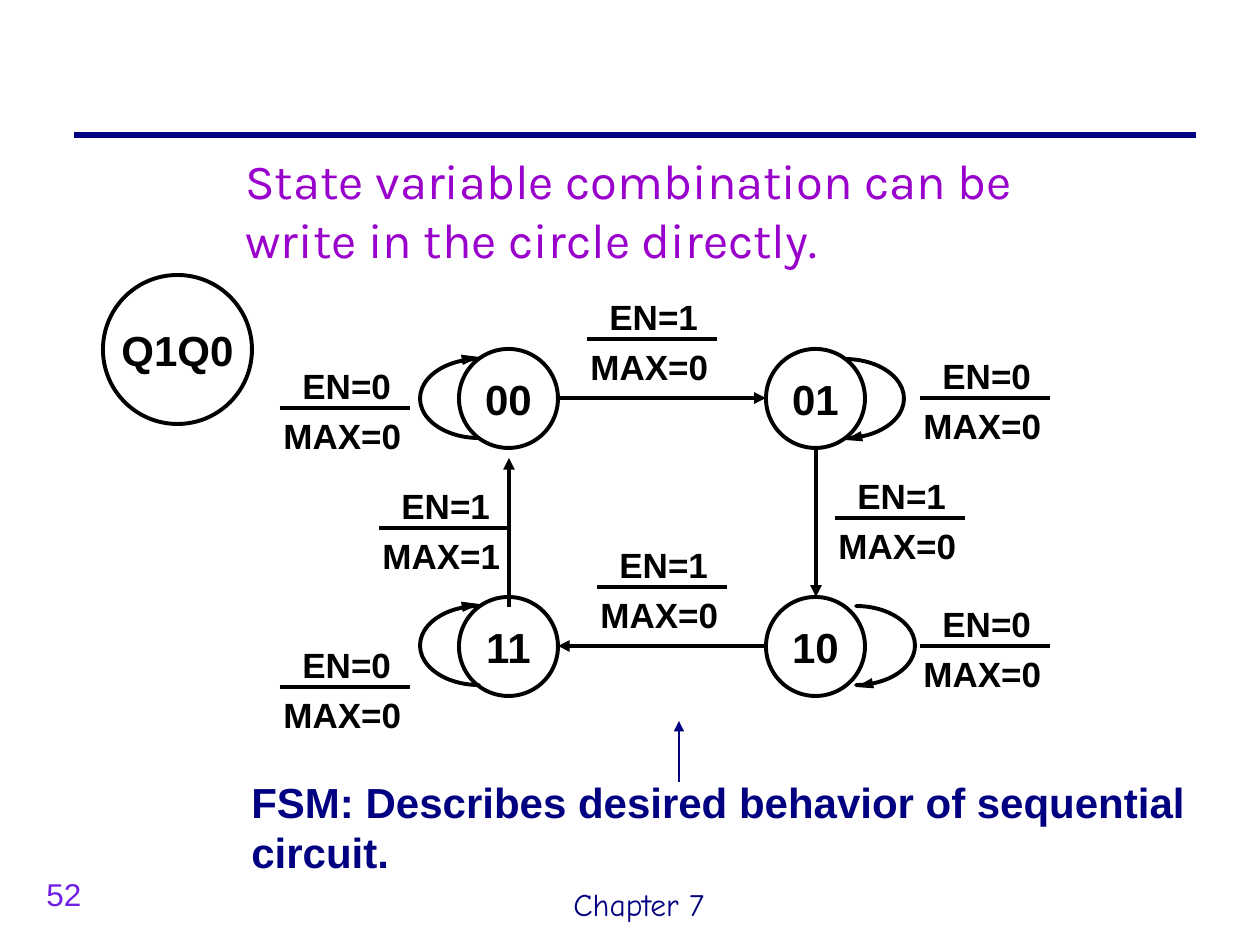
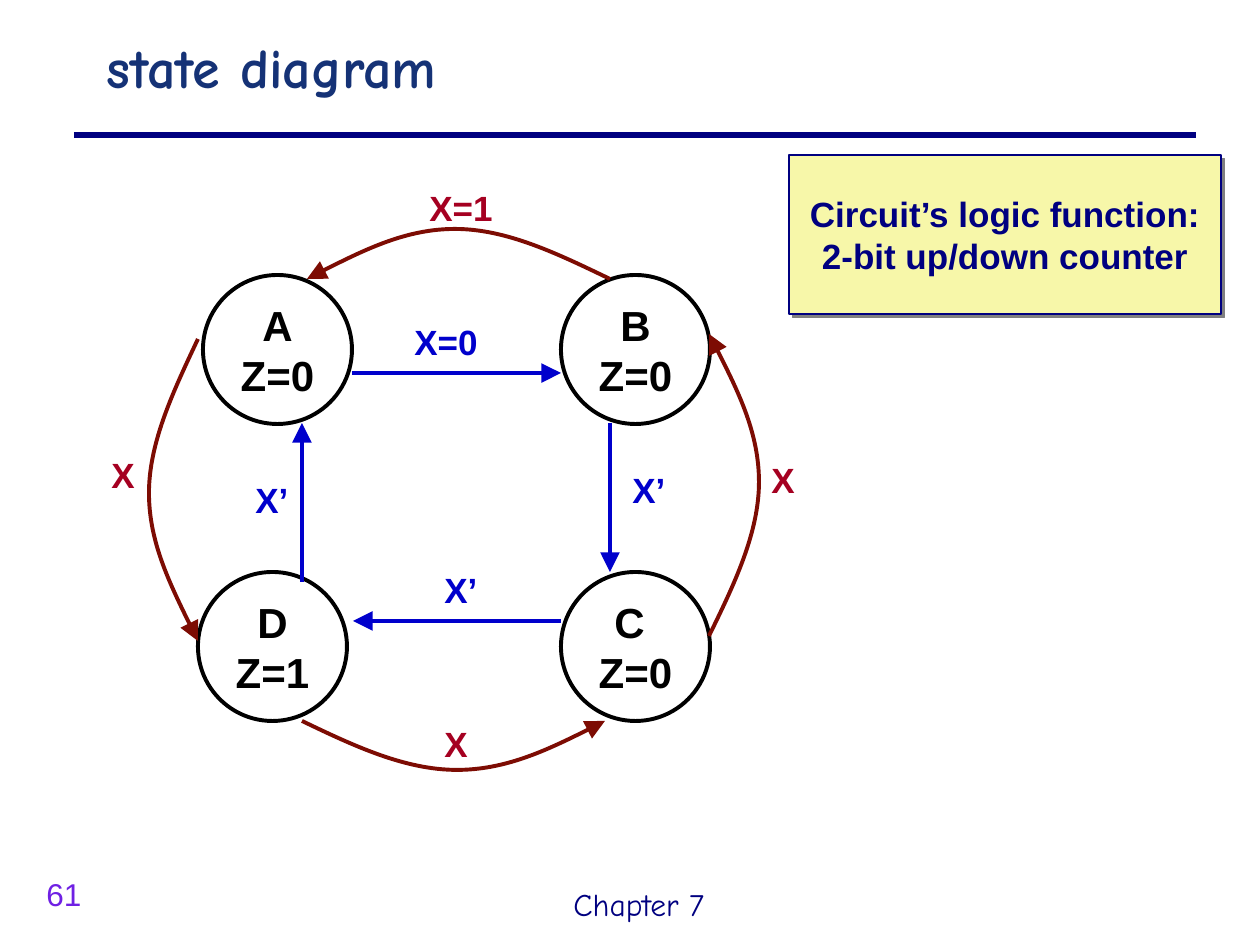
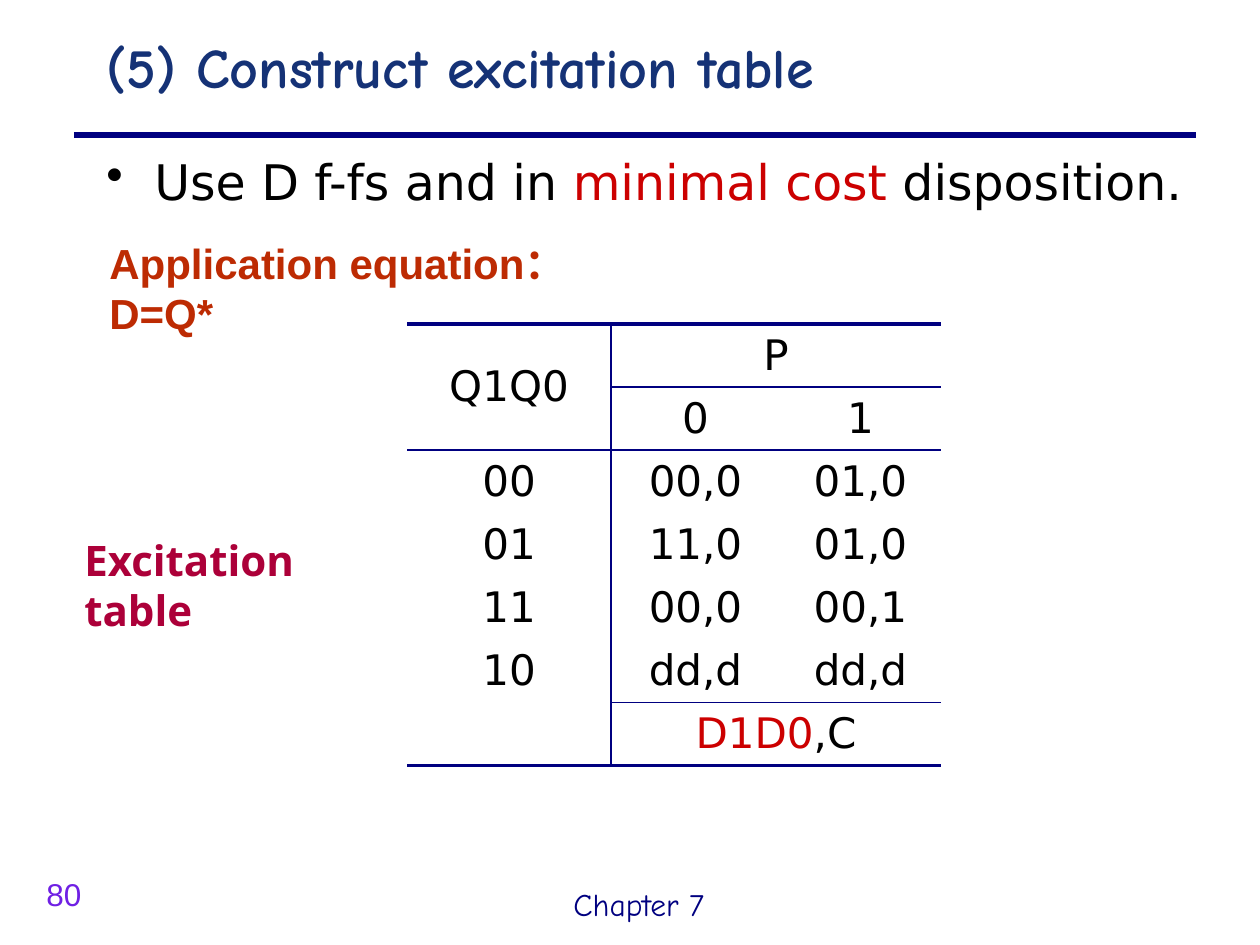
from lxml.etree import SubElement
from pptx import Presentation
from pptx.dml.color import RGBColor
from pptx.enum.shapes import MSO_CONNECTOR, MSO_SHAPE
from pptx.enum.text import MSO_ANCHOR, PP_ALIGN
from pptx.oxml import parse_xml
from pptx.oxml.ns import nsdecls, qn
from pptx.util import Pt

PIXEL = 914400 / 126

NAVY = RGBColor(0x00, 0x00, 0x80)
TITLE_BLUE = RGBColor(0x15, 0x32, 0x76)
NUMBER_VIOLET = RGBColor(0x6F, 0x20, 0xE4)
PURPLE = RGBColor(0x99, 0x00, 0xCC)
BLACK = RGBColor(0x00, 0x00, 0x00)
BLUE = RGBColor(0x00, 0x00, 0xCC)
CRIMSON = RGBColor(0xA5, 0x00, 0x21)
MAROON = RGBColor(0x7D, 0x0C, 0x03)
RED = RGBColor(0xCC, 0x00, 0x00)
RUST = RGBColor(0xBD, 0x2B, 0x03)
RASPBERRY = RGBColor(0xAC, 0x00, 0x39)
PALE_YELLOW = RGBColor(0xF7, 0xF7, 0xA9)

BODY_FONT = "Arial"
HAND_FONT = "Comic Neue"
WIDE_FONT = "DejaVu Sans"


def px(length):
    return round(length * PIXEL)


class Deck:
    """Holds the shared style and the slide being drawn."""

    def __init__(self):
        self.presentation = Presentation()
        self.presentation.slide_width = px(1260)
        self.presentation.slide_height = px(945)
        self.slide = None

    def new_slide(self, number, title=None):
        layout = self.presentation.slide_layouts[6]
        self.slide = self.presentation.slides.add_slide(layout)
        self.line((74, 135), (1196, 135), NAVY, 3)
        self.text("Chapter 7", (561, 879, 179, 50), 18, NAVY, HAND_FONT)
        self.text(str(number), (34, 869, 89, 50), 18, NUMBER_VIOLET)
        if title:
            self.text(title, (94, 26, 1101, 100), 32, TITLE_BLUE, HAND_FONT, bold=True)

    def fill_paragraph(self, paragraph, content, size, color, font=BODY_FONT, bold=False):
        """Fill a paragraph with a string or a list of (text, color) runs."""
        paragraph.font.size = Pt(size)
        paragraph.font.name = font
        paragraph.font.bold = bold
        paragraph.font.color.rgb = color
        if isinstance(content, str):
            paragraph.text = content
            return
        for words, run_color in content:
            run = paragraph.add_run()
            run.text = words
            run.font.color.rgb = run_color

    def text(self, content, box, size, color, font=BODY_FONT, bold=False):
        frame = self.slide.shapes.add_textbox(*map(px, box)).text_frame
        frame.word_wrap = True
        self.fill_paragraph(frame.paragraphs[0], content, size, color, font, bold)
        return frame.paragraphs[0]

    def bullet(self, content, box, size):
        paragraph = self.text(content, box, size, BLACK, WIDE_FONT)
        properties = paragraph._p.get_or_add_pPr()
        properties.set("marL", str(px(48)))
        properties.set("indent", str(px(-48)))
        mark = parse_xml(f'<a:buChar {nsdecls("a")} char="•"/>')
        properties.insert(0, mark)

    def arrowhead(self, shape, length, width):
        line = shape.line._get_or_add_ln()
        SubElement(line, qn("a:tailEnd"), type="triangle", w=width, len=length)

    def line(self, start, end, color, weight, head=None):
        """Draw a line; head gives the arrowhead's length and width."""
        connector = self.slide.shapes.add_connector(
            MSO_CONNECTOR.STRAIGHT, *map(px, (*start, *end)))
        connector.line.color.rgb = color
        connector.line.width = Pt(weight)
        SubElement(connector.element.spPr, qn("a:effectLst"))
        if head:
            self.arrowhead(connector, *head)

    def shape(self, kind, box, weight, line_color=BLACK, fill=None):
        shape = self.slide.shapes.add_shape(kind, *map(px, box))
        shape.shadow.inherit = False
        if fill is None:
            shape.fill.background()
        else:
            shape.fill.solid()
            shape.fill.fore_color.rgb = fill
        shape.line.color.rgb = line_color
        shape.line.width = Pt(weight)
        return shape

    def state(self, name, left, top, diameter):
        circle = self.shape(MSO_SHAPE.OVAL, (left, top, diameter, diameter), 2.25)
        frame = circle.text_frame
        frame.word_wrap = False
        frame.vertical_anchor = MSO_ANCHOR.MIDDLE
        frame.paragraphs[0].alignment = PP_ALIGN.CENTER
        self.fill_paragraph(frame.paragraphs[0], name, 24, BLACK, bold=True)

    def self_loop(self, left, top, on_right):
        """Draw a half ring with an arrowhead that returns to the same state."""
        moon = self.shape(MSO_SHAPE.MOON, (left, top, 59, 79), 2.25)
        moon.adjustments[0] = 0
        start, end = (left + 41, top + 1), (left + 59, top - 2)
        if on_right:
            moon.rotation = 180
            start, end = (left + 18, top + 77), (left, top + 81)
        self.line(start, end, BLACK, 0.75, ("lg", "med"))

    def transition_label(self, left, bar, enable, maximum):
        """Put the input above a bar and the output below it."""
        self.text(f"EN={enable}", (left + 10, bar - 50, 128, 54), 20, BLACK, bold=True)
        self.line((left, bar), (left + 130, bar), BLACK, 2.25)
        self.text(f"MAX={maximum}", (left - 9, bar, 149, 54), 20, BLACK, bold=True)

    def curve(self, start, end, bulge, color):
        """Draw two joined Bezier arcs that swell sideways by bulge."""
        steps = zip((0, .17, .34, .51, .67, .84, 1), (0, .5, 1, 1, 1, .5, 0))
        points = [tuple(a + along * (b - a) + swell * c
                        for a, b, c in zip(start, end, bulge))
                  for along, swell in steps]
        builder = self.slide.shapes.build_freeform(*points[0], scale=PIXEL)
        builder.add_line_segments(points[1:], close=False)
        shape = builder.convert_to_shape()
        segments = shape.element.xpath(".//a:lnTo")
        outline = segments[0].getparent()
        for first in (0, 3):
            bezier = SubElement(outline, qn("a:cubicBezTo"))
            for segment in segments[first:first + 3]:
                bezier.append(segment[0])
                outline.remove(segment)
        shape.shadow.inherit = False
        shape.fill.background()
        shape.line.color.rgb = color
        shape.line.width = Pt(2.25)
        self.arrowhead(shape, "lg", "lg")

    def callout(self, lines, box):
        shape = self.shape(MSO_SHAPE.RECTANGLE, box, 0.75, NAVY, PALE_YELLOW)
        effects = shape.element.spPr.find(qn("a:effectLst"))
        shadow = SubElement(effects, qn("a:outerShdw"), dist=str(Pt(2.8)),
                            dir="2700000", algn="tl", rotWithShape="0")
        SubElement(shadow, qn("a:srgbClr"), val="808080")
        frame = shape.text_frame
        frame.word_wrap = True
        frame.vertical_anchor = MSO_ANCHOR.MIDDLE
        for index, words in enumerate(lines):
            paragraph = frame.add_paragraph() if index else frame.paragraphs[0]
            paragraph.alignment = PP_ALIGN.CENTER
            self.fill_paragraph(paragraph, words, 20, NAVY, bold=True)

    def table(self, rows, left, top, widths, row_height, merges, row_rule, column_rule):
        """Draw a table; the rules give the border weight at each grid line."""
        frame = self.slide.shapes.add_table(
            len(rows), len(widths), *map(px, (left, top, sum(widths), row_height * len(rows))))
        table = frame.table
        table.first_row = table.horz_banding = False
        for column, width in zip(table.columns, widths):
            column.width = px(width)
        for row in table.rows:
            row.height = px(row_height)
        for first, last in merges:
            table.cell(*first).merge(table.cell(*last))
        for r, row in enumerate(rows):
            for c, content in enumerate(row):
                cell = table.cell(r, c)
                cell.fill.background()
                cell.vertical_anchor = MSO_ANCHOR.MIDDLE
                if content:
                    paragraph = cell.text_frame.paragraphs[0]
                    paragraph.alignment = PP_ALIGN.CENTER
                    self.fill_paragraph(paragraph, content, 24, BLACK, WIDE_FONT)
                self.borders(cell, {
                    "L": column_rule(c), "R": column_rule(c + cell.span_width),
                    "T": row_rule(r, c), "B": row_rule(r + cell.span_height, c)})

    def borders(self, cell, weights):
        properties = cell._tc.get_or_add_tcPr()
        for index, (side, weight) in enumerate(weights.items()):
            paint = f'<a:solidFill><a:srgbClr val="{NAVY}"/></a:solidFill>' if weight else "<a:noFill/>"
            properties.insert(index, parse_xml(
                f'<a:ln{side} {nsdecls("a")} w="{Pt(weight)}">{paint}</a:ln{side}>'))


def enable_counter_slide(deck):
    deck.new_slide(52)
    deck.state("Q1Q0", 103, 275, 149)
    deck.text("State variable combination can be write in the circle directly.",
              (233, 144, 853, 130), 28, PURPLE, "Karla")
    left, right, top, bottom, diameter = 459, 766, 349, 597, 99
    for name, x, y in (("00", left, top), ("11", left, bottom),
                       ("10", right, bottom), ("01", right, top)):
        deck.state(name, x, y, diameter)
    for start, end in (((558, 398), (766, 398)), ((816, 448), (816, 597)),
                       ((766, 646), (558, 646)), ((509, 607), (509, 458))):
        deck.line(start, end, BLACK, 2.25, ("med", "med"))
    for label in ((280, 408, 0, 0), (587, 339, 1, 0), (920, 398, 0, 0), (835, 518, 1, 0),
                  (920, 646, 0, 0), (597, 587, 1, 0), (280, 687, 0, 0), (379, 528, 1, 1)):
        deck.transition_label(*label)
    for x, y, on_right in ((420, 359, False), (420, 606, False),
                           (845, 359, True), (856, 606, True)):
        deck.self_loop(x, y, on_right)
    deck.text("FSM: Describes desired behavior of sequential circuit.",
              (239, 770, 968, 113), 24, NAVY, bold=True)
    deck.line((679, 782), (679, 721), NAVY, 1.5, ("med", "med"))


def up_down_counter_slide(deck):
    deck.new_slide(61, "state diagram")
    for name, left, top in (("A\nZ=0", 203, 275), ("D\nZ=1", 198, 572),
                            ("C \nZ=0", 561, 572), ("B\nZ=0", 561, 275)):
        deck.state(name, left, top, 149)
    for start, end, label, left, top in (
            ((352, 373), (561, 373), "X=0", 402, 314),
            ((610, 423), (610, 572), "X’", 620, 462),
            ((561, 621), (353, 621), "X’", 432, 562),
            ((302, 582), (302, 423), "X’", 243, 472)):
        deck.line(start, end, BLUE, 2.25, ("lg", "lg"))
        deck.text(label, (left, top, 100, 54), 20, BLUE, bold=True)
    for start, end, bulge, label, left, top in (
            ((302, 721), (605, 721), (0, 49), "X", 432, 716),
            ((709, 636), (709, 334), (50, 0), "X", 759, 452),
            ((198, 339), (198, 641), (-49, 0), "X", 99, 447),
            ((610, 279), (307, 279), (0, -50), "X=1", 417, 180)):
        deck.text(label, (left, top, 100, 54), 20, CRIMSON, bold=True)
        deck.curve(start, end, bulge, MAROON)
    deck.callout(("Circuit’s logic function:", "2-bit up/down counter"), (789, 155, 432, 159))


def excitation_table_slide(deck):
    deck.new_slide(80, "(5) Construct excitation table")
    deck.bullet([("Use D f-fs and in ", BLACK), ("minimal cost", RED), (" disposition.", BLACK)],
                (94, 145, 1111, 725), 28)
    rows = (("Q1Q0", "P", ""),
            ("", "0", "1"),
            ("00", "00,0", "01,0"),
            ("01", "11,0", "01,0"),
            ("11", "00,0", "00,1"),
            ("10", "dd,d", "dd,d"),
            ("", [("D1D0", RED), (",C", BLACK)], ""))

    def row_rule(boundary, column):
        if boundary in (0, len(rows)):
            return 2.25
        return 1 if boundary == 2 or (boundary in (1, 6) and column > 0) else 0

    def column_rule(boundary):
        return 1 if boundary == 1 else 0

    merges = (((0, 0), (1, 0)), ((0, 1), (0, 2)), ((6, 1), (6, 2)))
    deck.table(rows, 407, 324, (204, 169, 161), 61, merges, row_rule, column_rule)
    deck.text("Excitation table", (72, 528, 286, 113), 24, RASPBERRY, "Noto Sans", bold=True)
    deck.text("Application equation：D=Q*", (97, 231, 571, 113), 24, RUST, bold=True)


def main():
    deck = Deck()
    enable_counter_slide(deck)
    up_down_counter_slide(deck)
    excitation_table_slide(deck)
    deck.presentation.save("out.pptx")


if __name__ == "__main__":
    main()
